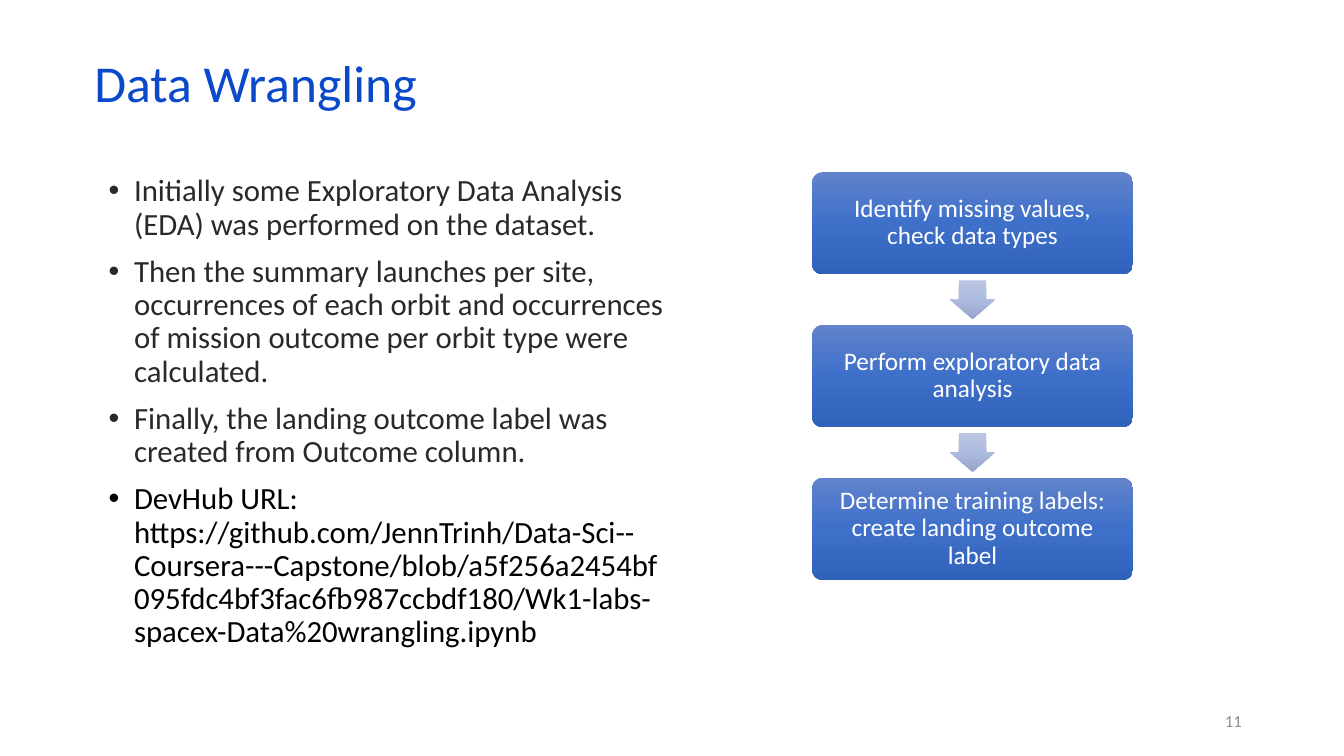
import copy

import pptx
import pptx.dml.color
import pptx.enum.shapes
import pptx.enum.text
import pptx.oxml.ns
import pptx.util
from pptx.util import Cm

RGBColor = pptx.dml.color.RGBColor
ALIGN = pptx.enum.text.PP_ALIGN
ANCHOR = pptx.enum.text.MSO_ANCHOR
SHAPE = pptx.enum.shapes.MSO_SHAPE

FONT = "Calibri"
TITLE_BLUE = RGBColor(0x0B, 0x49, 0xCB)
DARK_GREY = RGBColor(0x29, 0x29, 0x29)
PALE_GREY = RGBColor(0x8C, 0x8C, 0x8C)
BLACK = RGBColor(0, 0, 0)
WHITE = RGBColor(0xFF, 0xFF, 0xFF)
STEP_GRADIENT = (RGBColor(0x61, 0x83, 0xCB), RGBColor(0x3E, 0x70, 0xCA),
                 RGBColor(0x30, 0x62, 0xBB))
ARROW_GRADIENT = (RGBColor(0xBB, 0xC5, 0xE3), RGBColor(0xAE, 0xBB, 0xE0),
                  RGBColor(0x98, 0xA4, 0xCB))

BULLETS = [
    ("Initially some Exploratory Data Analysis (EDA) was performed on the "
     "dataset.", DARK_GREY),
    ("Then the summary launches per site, occurrences of each orbit and "
     "occurrences of mission outcome per orbit type were calculated.", DARK_GREY),
    ("Finally, the landing outcome label was created from Outcome column.",
     DARK_GREY),
    ("DevHub URL: https://github.com/JennTrinh/Data-Sci--Coursera---Capstone/"
     "blob/a5f256a2454bf095fdc4bf3fac6fb987ccbdf180/"
     "Wk1-labs-spacex-Data%20wrangling.ipynb", BLACK),
]
STEPS = [
    "Identify missing values, check data types",
    "Perform exploratory data analysis",
    "Determine training labels: create landing outcome label",
]

STEP_LEFT, STEP_TOP = Cm(20.47), Cm(4.34)
STEP_WIDTH, STEP_HEIGHT, STEP_PITCH = Cm(8.08), Cm(2.57), Cm(3.85)
ARROW_WIDTH, ARROW_HEIGHT = Cm(1.14), Cm(0.97)


def write(p, text, size, color, align=ALIGN.LEFT, spacing=1.0, before=0,
          bullet=False):
    p.alignment = align
    p.line_spacing = spacing
    p.space_before = pptx.util.Pt(before)
    if bullet:
        pPr = p._p.get_or_add_pPr()
        pPr.set("marL", str(Cm(0.64)))
        pPr.set("indent", str(-Cm(0.64)))
        for tag, key, value in (("a:buFont", "typeface", "Arial"),
                                ("a:buChar", "char", "•")):
            pptx.oxml.ns.qn(tag)
            el = pPr.makeelement(pptx.oxml.ns.qn(tag), {key: value})
            pPr.append(el)
    r = p.add_run()
    r.text = text
    r.font.name = FONT
    r.font.size = pptx.util.Pt(size)
    r.font.color.rgb = color


def add_textbox(s, left, top, width, height, anchor=ANCHOR.MIDDLE):
    tf = s.shapes.add_textbox(left, top, width, height).text_frame
    tf.word_wrap = True
    tf.vertical_anchor = anchor
    return tf


def add_gradient_shape(s, kind, left, top, width, height, colors, adjustments):
    """Add a borderless shape shaded from top to bottom in three colours."""
    sp = s.shapes.add_shape(kind, left, top, width, height)
    sp.shadow.inherit = False
    sp.line.fill.background()
    for i, value in enumerate(adjustments):
        sp.adjustments[i] = value
    sp.fill.gradient()
    sp.fill.gradient_angle = 270
    first = sp._element.spPr.find(".//" + pptx.oxml.ns.qn("a:gs"))
    first.addnext(copy.deepcopy(first))
    for stop, color, position in zip(sp.fill.gradient_stops, colors, (0, 0.5, 1)):
        stop.color.rgb = color
        stop.position = position
    return sp


def add_step(s, text, top):
    sp = add_gradient_shape(s, SHAPE.ROUNDED_RECTANGLE, STEP_LEFT, top,
                            STEP_WIDTH, STEP_HEIGHT, STEP_GRADIENT, [0.1])
    tf = sp.text_frame
    tf.word_wrap = True
    tf.vertical_anchor = ANCHOR.MIDDLE
    tf.margin_left = tf.margin_right = Cm(0.25)
    write(tf.paragraphs[0], text, 18, WHITE, align=ALIGN.CENTER, spacing=0.9)


def add_arrow_below(s, step_top):
    gap = STEP_PITCH - STEP_HEIGHT
    left = STEP_LEFT + (STEP_WIDTH - ARROW_WIDTH) // 2
    top = step_top + STEP_HEIGHT + (gap - ARROW_HEIGHT) // 2
    add_gradient_shape(s, SHAPE.DOWN_ARROW, left, top, ARROW_WIDTH,
                       ARROW_HEIGHT, ARROW_GRADIENT, [0.6, 0.5])


def main():
    prs = pptx.Presentation()
    prs.slide_width, prs.slide_height = Cm(33.87), Cm(19.05)
    s = prs.slides.add_slide(prs.slide_layouts[6])

    title = add_textbox(s, Cm(2.13), Cm(1.5), Cm(29.21), Cm(1.52))
    write(title.paragraphs[0], "Data Wrangling", 37, TITLE_BLUE, spacing=0.7)

    body = add_textbox(s, Cm(2.49), Cm(4.29), Cm(14.66), Cm(13.36), ANCHOR.TOP)
    for i, (text, color) in enumerate(BULLETS):
        p = body.add_paragraph() if i else body.paragraphs[0]
        write(p, text, 22, color, spacing=0.9, before=10 if i else 0, bullet=True)

    for i, text in enumerate(STEPS):
        top = STEP_TOP + i * STEP_PITCH
        add_step(s, text, top)
        if i < len(STEPS) - 1:
            add_arrow_below(s, top)

    number = add_textbox(s, Cm(23.93), Cm(17.65), Cm(7.62), Cm(1.02))
    write(number.paragraphs[0], "11", 12, PALE_GREY, align=ALIGN.RIGHT)

    prs.save("out.pptx")


if __name__ == "__main__":
    main()
